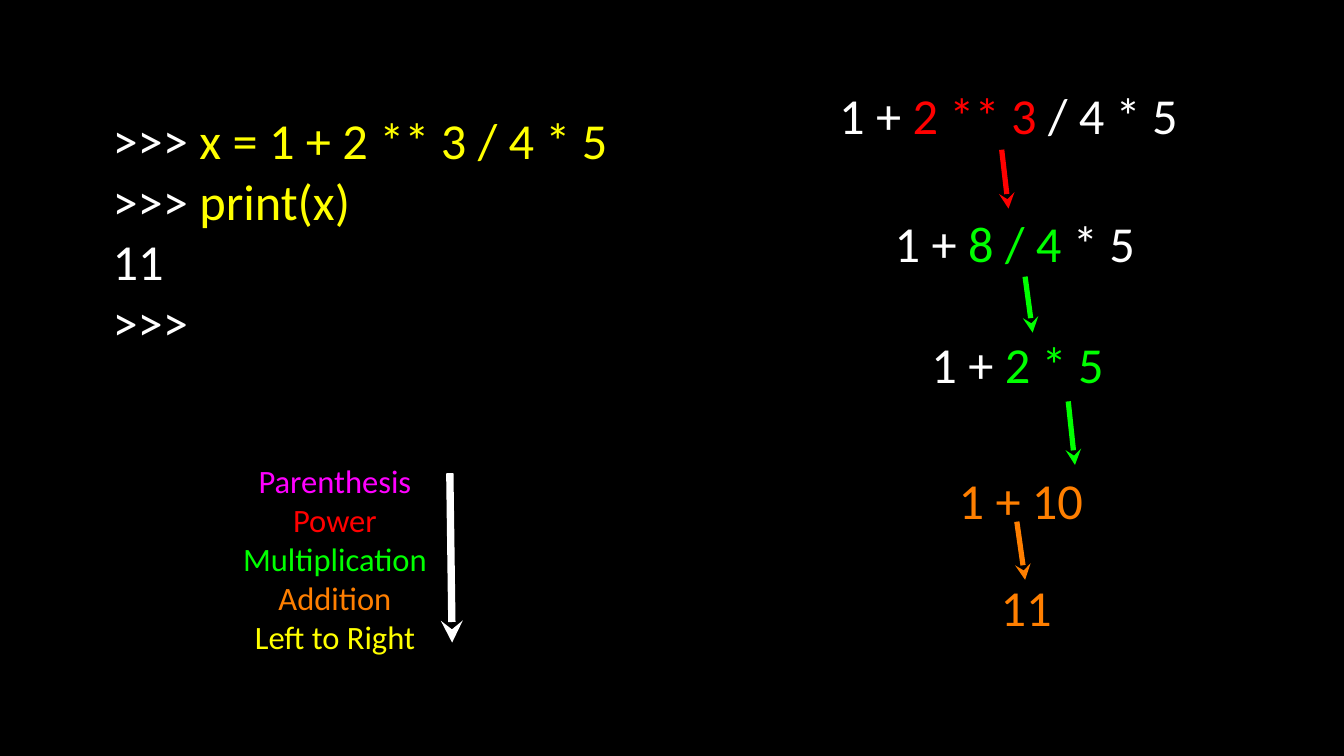
from lxml import etree
from pptx import Presentation
from pptx import util as u
from pptx.dml.color import RGBColor
from pptx.enum import shapes, text
from pptx.oxml import ns

BLACK = RGBColor(0, 0, 0)
WHITE = RGBColor(255, 255, 255)
YELLOW = RGBColor(255, 255, 0)
MAGENTA = RGBColor(255, 0, 255)
RED = RGBColor(255, 0, 0)
GREEN = RGBColor(0, 255, 0)
ORANGE = RGBColor(255, 127, 0)

FRAME_FORMAT = {
    "margin_left": 0,
    "margin_top": 0,
    "margin_right": 0,
    "margin_bottom": 0,
    "word_wrap": False,
    "auto_size": text.MSO_AUTO_SIZE.SHAPE_TO_FIT_TEXT,
    "vertical_anchor": text.MSO_ANCHOR.MIDDLE,
}
STEP_CENTER = 980.3
STEP_HEIGHT = 57.6


def apply_format(target, values):
    for name, value in values.items():
        setattr(target, name, value)


class SlideWriter:
    font_name = "Calibri"

    def __init__(self, presentation):
        self.slide = presentation.slides.add_slide(presentation.slide_layouts[6])

    def background(self, color):
        fill = self.slide.background.fill
        fill.solid()
        fill.fore_color.rgb = color

    def text(self, left, top, width, height, lines, size, align=text.PP_ALIGN.LEFT):
        shape = self.slide.shapes.add_textbox(*map(u.Pt, (left, top, width, height)))
        frame = shape.text_frame
        apply_format(frame, FRAME_FORMAT)
        for index, line in enumerate(lines):
            paragraph = frame.add_paragraph() if index else frame.paragraphs[0]
            paragraph.alignment = align
            for words, color in line:
                run = paragraph.add_run()
                run.text = words
                apply_format(run.font, {"name": self.font_name, "size": u.Pt(size)})
                run.font.color.rgb = color
        return shape

    def arrow(self, tip, start, color, width):
        shape = self.slide.shapes.add_connector(
            shapes.MSO_CONNECTOR.STRAIGHT, *map(u.Pt, tip + start)
        )
        shape.line.color.rgb = color
        shape.line.width = u.Pt(width)
        line = shape.line._get_or_add_ln()
        etree.SubElement(line, ns.qn("a:headEnd"), type="stealth")
        etree.SubElement(shape._element.spPr, ns.qn("a:effectLst"))
        return shape

    def group(self, members):
        return self.slide.shapes.add_group_shape(members)


def main():
    presentation = Presentation()
    presentation.slide_width = u.Pt(1280)
    presentation.slide_height = u.Pt(720)
    writer = SlideWriter(presentation)
    writer.background(BLACK)

    precedence = [
        [("Parenthesis", MAGENTA)],
        [("Power", RED)],
        [("Multiplication", GREEN)],
        [("Addition", ORANGE)],
        [("Left to Right", YELLOW)],
    ]
    precedence_list = writer.text(
        219.6, 438.5, 198.7, 186.5, precedence, 31, text.PP_ALIGN.CENTER
    )
    precedence_arrow = writer.arrow((430.6, 612), (428.4, 450.7), WHITE, 7)
    writer.group([precedence_list, precedence_arrow])

    steps = [
        (80.6, 362.2, [("1 + ", WHITE), ("2 ** 3", RED), (" / 4 * 5", WHITE)]),
        (202.3, 256.3, [("1 + ", WHITE), ("8 / 4", GREEN), (" * 5", WHITE)]),
        (317.5, 186.5, [("1 + ", WHITE), ("2 * 5", GREEN)]),
        (446.4, 134.6, [("1 + 10", ORANGE)]),
        (548.6, 54.7, [("11", ORANGE)]),
    ]
    for top, width, line in steps:
        writer.text(STEP_CENTER - width / 2, top, width, STEP_HEIGHT, [line], 48)

    step_arrows = [
        ((960.5, 198.7), (954, 142.6), RED),
        ((983.5, 316.8), (976.3, 263.5), GREEN),
        ((1023.8, 442.8), (1017.4, 382.3), GREEN),
        ((976.3, 552.2), (968.4, 496.8), ORANGE),
    ]
    for tip, start, color in step_arrows:
        writer.arrow(tip, start, color, 5)

    session = [
        [(">>> ", WHITE), ("x = 1 + 2 ** 3 / 4 * 5", YELLOW)],
        [(">>> ", WHITE), ("print(x)", YELLOW)],
        [("11", WHITE)],
        [(">>>", WHITE)],
    ]
    writer.text(107.3, 104.4, 534.2, 230.4, session, 48)

    presentation.save("out.pptx")


if __name__ == "__main__":
    main()
